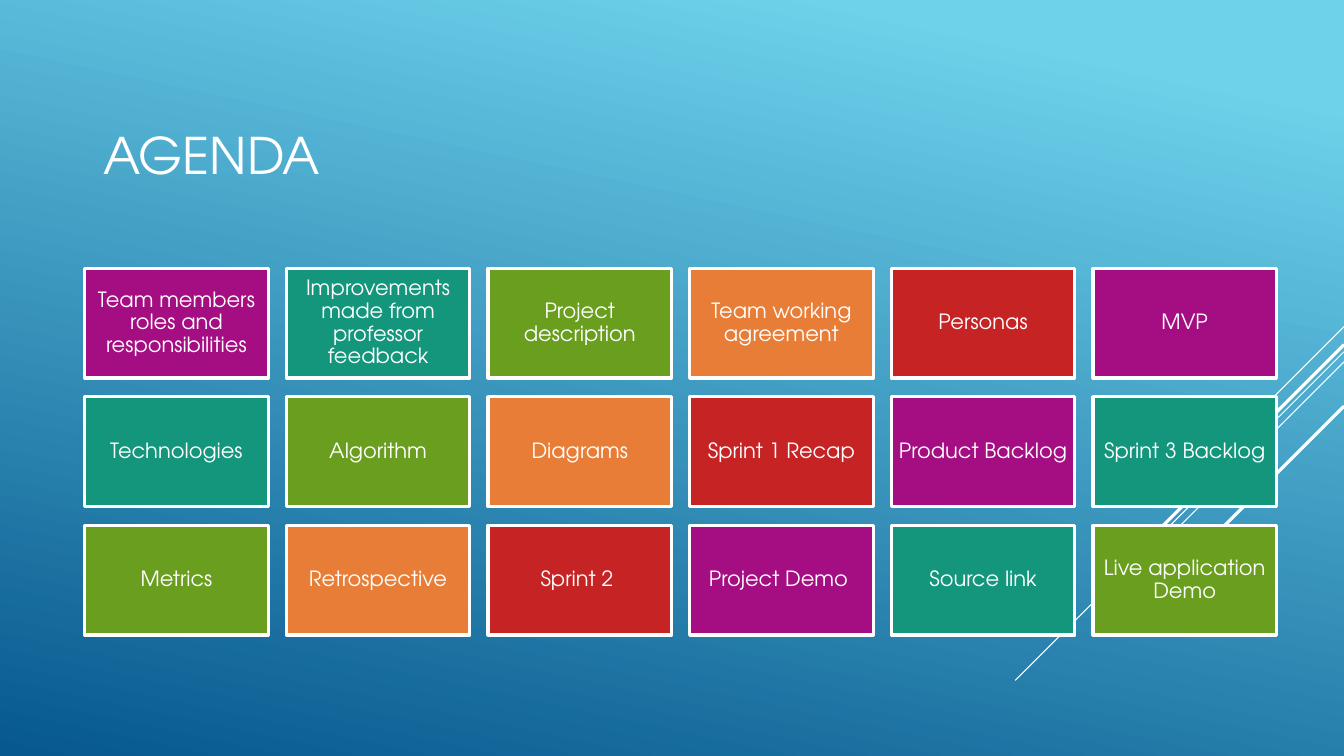
from lxml.etree import SubElement
from pptx import Presentation
from pptx.dml.color import RGBColor
from pptx.enum.shapes import MSO_CONNECTOR, MSO_SHAPE
from pptx.enum.text import MSO_ANCHOR, PP_ALIGN
from pptx.oxml.ns import qn
from pptx.util import Inches, Pt

# Content
TITLE = "AGENDA"
TOPICS = [
    "Team members roles and responsibilities",
    "Improvements made from professor feedback",
    "Project description",
    "Team working agreement",
    "Personas",
    "MVP",
    "Technologies",
    "Algorithm",
    "Diagrams",
    "Sprint 1 Recap",
    "Product Backlog",
    "Sprint 3 Backlog",
    "Metrics",
    "Retrospective",
    "Sprint 2 ",
    "Project Demo ",
    "Source link",
    "Live application Demo",
]

# Style
FONT = "TeX Gyre Adventor"
WHITE = "FFFFFF"
TILE_COLORS = ["A50E82", "14967C", "6A9E1F", "E87D37", "C62324"]
GRADIENT = [(0.1, "6ED2EB"), (1.0, "06588E")]

# Layout in inches
WIDTH, HEIGHT = 13.33, 7.5
COLUMNS = 6
GRID_LEFT, GRID_TOP = 0.84, 2.66
TILE_W, TILE_H = 1.82, 1.09
STEP_X, STEP_Y = 2.0, 1.275
INSET = 0.06
# Diagonal rays from the right edge: start height, run to the left, points
RAYS = [
    (3.24, 1.0, 0.75),
    (3.49, 3.26, 0.75),
    (3.59, 2.07, 0.75),
    (3.42, 1.91, 2.25),
    (4.03, 1.39, 2.25),
]


def rgb(color):
    return RGBColor.from_string(color)


def set_line(line, points):
    line.color.rgb = rgb(WHITE)
    line.width = Pt(points)


def write(sp, text, size, align, inset_x, inset_y):
    tf = sp.text_frame
    frame = {
        "word_wrap": True,
        "vertical_anchor": MSO_ANCHOR.MIDDLE,
        "margin_left": Inches(inset_x),
        "margin_right": Inches(inset_x),
        "margin_top": Inches(inset_y),
        "margin_bottom": Inches(inset_y),
    }
    for name, value in frame.items():
        setattr(tf, name, value)
    p = tf.paragraphs[0]
    p.alignment = align
    p.line_spacing = 0.9
    r = p.add_run()
    r.text = text
    for name, value in {"name": FONT, "size": Pt(size)}.items():
        setattr(r.font, name, value)
    r.font.color.rgb = rgb(WHITE)


prs = Presentation()
prs.slide_width, prs.slide_height = Inches(WIDTH), Inches(HEIGHT)
s = prs.slides.add_slide(prs.slide_layouts[6])

# Background gradient
fill = s.background.fill
fill.gradient()
fill.gradient_angle = 258
for stop, (position, color) in zip(fill.gradient_stops, GRADIENT):
    stop.position = position
    stop.color.rgb = rgb(color)

# Diagonal rays
for top, run, points in RAYS:
    ray = s.shapes.add_connector(
        MSO_CONNECTOR.STRAIGHT,
        Inches(WIDTH), Inches(top), Inches(WIDTH - run), Inches(top + run))
    set_line(ray.line, points)
    SubElement(ray._element.spPr, qn("a:effectLst"))

# Title
title = s.shapes.add_textbox(
    Inches(0.93), Inches(0.74), Inches(9.33), Inches(1.65))
write(title, TITLE, 36, PP_ALIGN.LEFT, 0.1, 0.05)

# Topic tiles
for i, topic in enumerate(TOPICS):
    row, column = divmod(i, COLUMNS)
    tile = s.shapes.add_shape(
        MSO_SHAPE.RECTANGLE,
        Inches(GRID_LEFT + column * STEP_X), Inches(GRID_TOP + row * STEP_Y),
        Inches(TILE_W), Inches(TILE_H))
    tile.shadow.inherit = False
    tile.fill.solid()
    tile.fill.fore_color.rgb = rgb(TILE_COLORS[i % len(TILE_COLORS)])
    set_line(tile.line, 2.25)
    write(tile, topic, 15, PP_ALIGN.CENTER, INSET, INSET)

prs.save("out.pptx")
